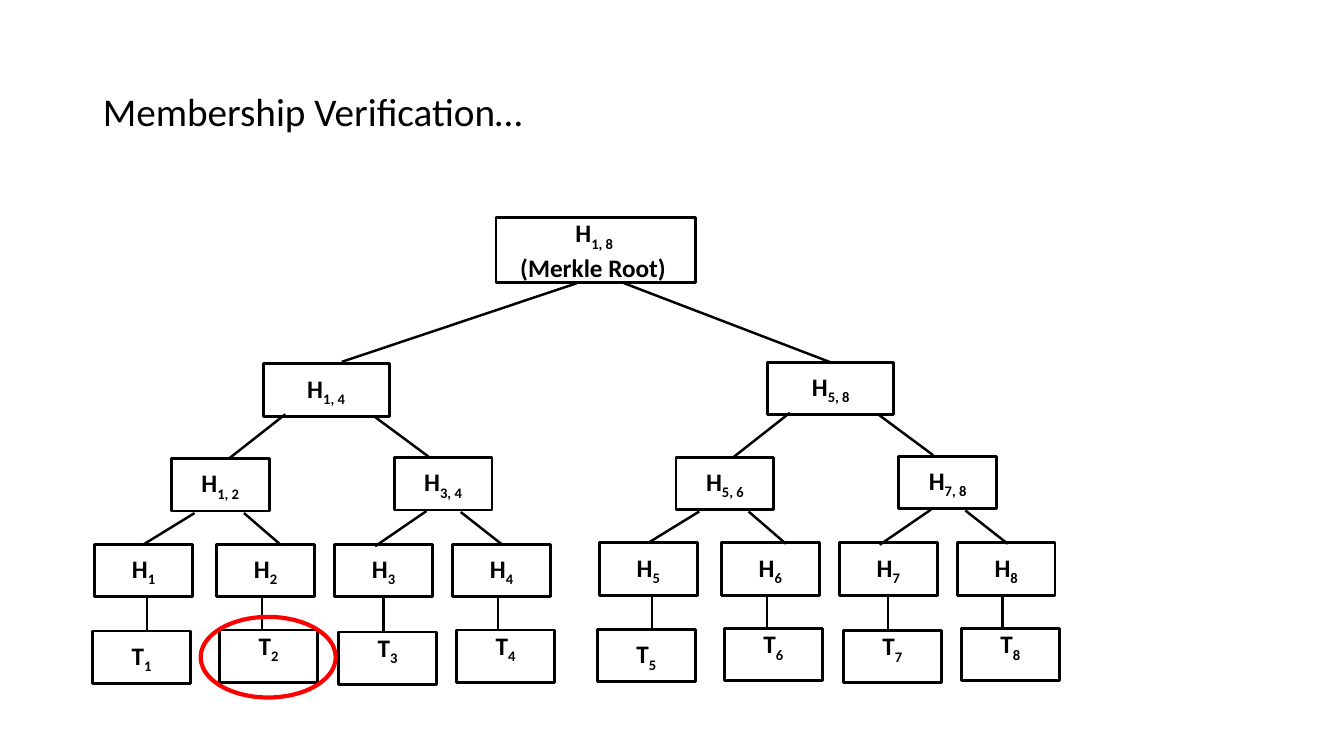
from lxml.etree import SubElement
from pptx import Presentation
from pptx.dml.color import RGBColor
from pptx.enum.shapes import MSO_CONNECTOR, MSO_SHAPE
from pptx.enum.text import MSO_ANCHOR, MSO_AUTO_SIZE, PP_ALIGN
from pptx.oxml.ns import qn
from pptx.util import Inches, Pt

COLS, ROWS = 133.3, 75
BOX_W, BOX_H = 9.7, 5.2
TOP, BOTTOM = 0, 2


def rgb(value):
    """Turn a hex string into a colour."""
    return RGBColor.from_string(value)


def write(p, text, size=18, bold=True, base=0, color="000000", font="Calibri"):
    """Add a formatted run to a paragraph, with base as a percent offset."""
    r = p.add_run()
    r.text = text
    r.font.size, r.font.bold, r.font.name = Pt(size), bold, font
    r.font.color.rgb = rgb(color)
    if base:
        r._r.get_or_add_rPr().set("baseline", str(base * 1000))


class Diagram:
    """Draw tree parts on one slide, measured in grid columns and rows."""

    def __init__(self, prs, ink="000000", paper="FFFFFF", mark="FF0000"):
        """Add the slide and keep its style."""
        self.s = prs.slides.add_slide(prs.slide_layouts[5])
        self.col, self.row = prs.slide_width / COLS, prs.slide_height / ROWS
        self.ink, self.paper, self.mark = ink, paper, mark

    def place(self, x, y):
        """Convert a grid pair to slide lengths."""
        return round(x * self.col), round(y * self.row)

    def title(self, text, x, y, w, h):
        """Fill and move the title placeholder."""
        sp = self.s.shapes.title
        sp.left, sp.top = self.place(x, y)
        sp.width, sp.height = self.place(w, h)
        tf = sp.text_frame
        tf.auto_size, tf.vertical_anchor = MSO_AUTO_SIZE.NONE, MSO_ANCHOR.MIDDLE
        p = tf.paragraphs[0]
        p.alignment, p.line_spacing = PP_ALIGN.LEFT, 0.9
        write(p, text, size=28, bold=False, color=self.ink)

    def box(self, letter, index, x, y, w=BOX_W, h=BOX_H, note="", raised=False):
        """Draw a node with a subscripted label and an optional second line."""
        sp = self.s.shapes.add_shape(
            MSO_SHAPE.RECTANGLE, *self.place(x, y), *self.place(w, h))
        sp.shadow.inherit = False
        sp.fill.solid()
        sp.fill.fore_color.rgb = rgb(self.paper)
        sp.line.color.rgb, sp.line.width = rgb(self.ink), Pt(2)
        tf = sp.text_frame
        tf.word_wrap, tf.vertical_anchor = True, MSO_ANCHOR.MIDDLE
        if raised:
            tf.vertical_anchor, tf.margin_top = MSO_ANCHOR.TOP, 0
        p = tf.paragraphs[0]
        p.alignment = PP_ALIGN.CENTER
        write(p, letter, color=self.ink)
        write(p, index, base=-25, color=self.ink)
        if note:
            p = tf.add_paragraph()
            p.alignment = PP_ALIGN.CENTER
            write(p, note, color=self.ink)
        return sp

    def line(self, x1, y1, x2, y2, begin=None, end=None):
        """Draw a branch, joined to a box's bottom or top where given."""
        c = self.s.shapes.add_connector(
            MSO_CONNECTOR.STRAIGHT, *self.place(x1, y1), *self.place(x2, y2))
        c.line.color.rgb, c.line.width = rgb(self.ink), Pt(1.75)
        SubElement(c.element.spPr, qn("a:effectLst"))
        if begin:
            c.begin_connect(begin, BOTTOM)
        if end:
            c.end_connect(end, TOP)

    def ring(self, x, y, w, h):
        """Circle a node."""
        sp = self.s.shapes.add_shape(
            MSO_SHAPE.OVAL, *self.place(x, y), *self.place(w, h))
        sp.shadow.inherit = False
        sp.fill.background()
        sp.line.color.rgb, sp.line.width = rgb(self.mark), Pt(3)

    def subtree(self, first, dx, dy):
        """Draw four transactions with their hashes and return the apex."""
        apex = self.box("H", f"{first}, {first + 3}", 26.1 + dx, 36.1 + dy, 12.5)
        for i, x, y in [(0, 17, 45.5), (2, 39.1, 45.4)]:
            self.box("H", f"{first + i}, {first + i + 1}", x + dx, y + dy)
        hashes = []
        leaves = [(9.4, 9.2, 62.6), (21.5, 21.8, 62.5),
                  (33.2, 33.6, 62.7), (44.9, 45.3, 62.5)]
        for i, (hash_x, x, y) in enumerate(leaves):
            hashes.append(self.box("H", str(first + i), hash_x + dx, 54 + dy))
            self.box("T", str(first + i), x + dx, y + dy, raised=i > 0)
        branches = [
            (28.3, 41.1, 22.7, 45.5, None, None),
            (37.1, 41.3, 42.5, 45.3, None, None),
            (19.3, 50.9, 14.2, 54, None, hashes[0]),
            (24.2, 50.9, 27.9, 54.1, None, None),
            (42.3, 50.7, 37.2, 54.2, None, None),
            (45.7, 50.8, 49.9, 54.1, None, None),
            (14.6, 59.2, 14.6, 62.6, None, None),
            (26, 59.1, 26, 62.5, None, None),
            (38.05, 59.2, 38.05, 62.7, hashes[2], None),
            (49.4, 59.1, 49.4, 62.6, None, None),
        ]
        for x1, y1, x2, y2, begin, end in branches:
            self.line(x1 + dx, y1 + dy, x2 + dx, y2 + dy, begin, end)
        return apex


def main():
    """Build and save the slide."""
    prs = Presentation()
    prs.slide_width, prs.slide_height = Inches(13.33), Inches(7.5)
    tree = Diagram(prs)
    tree.title("Membership Verification…", 9.2, 4, 115, 14.5)
    tree.subtree(1, 0, 0)
    right = tree.subtree(5, 50.05, -0.15)
    tree.box("H", "1, 8 ", 49.2, 21.6, 19.8, 6.4, note="(Merkle Root) ")
    tree.line(61.9, 28.1, 82.4, 35.8, end=right)
    tree.line(57.2, 28.1, 33.9, 35.9)
    tree.ring(19.9, 61.2, 13.4, 8)
    prs.save("out.pptx")


if __name__ == "__main__":
    main()
